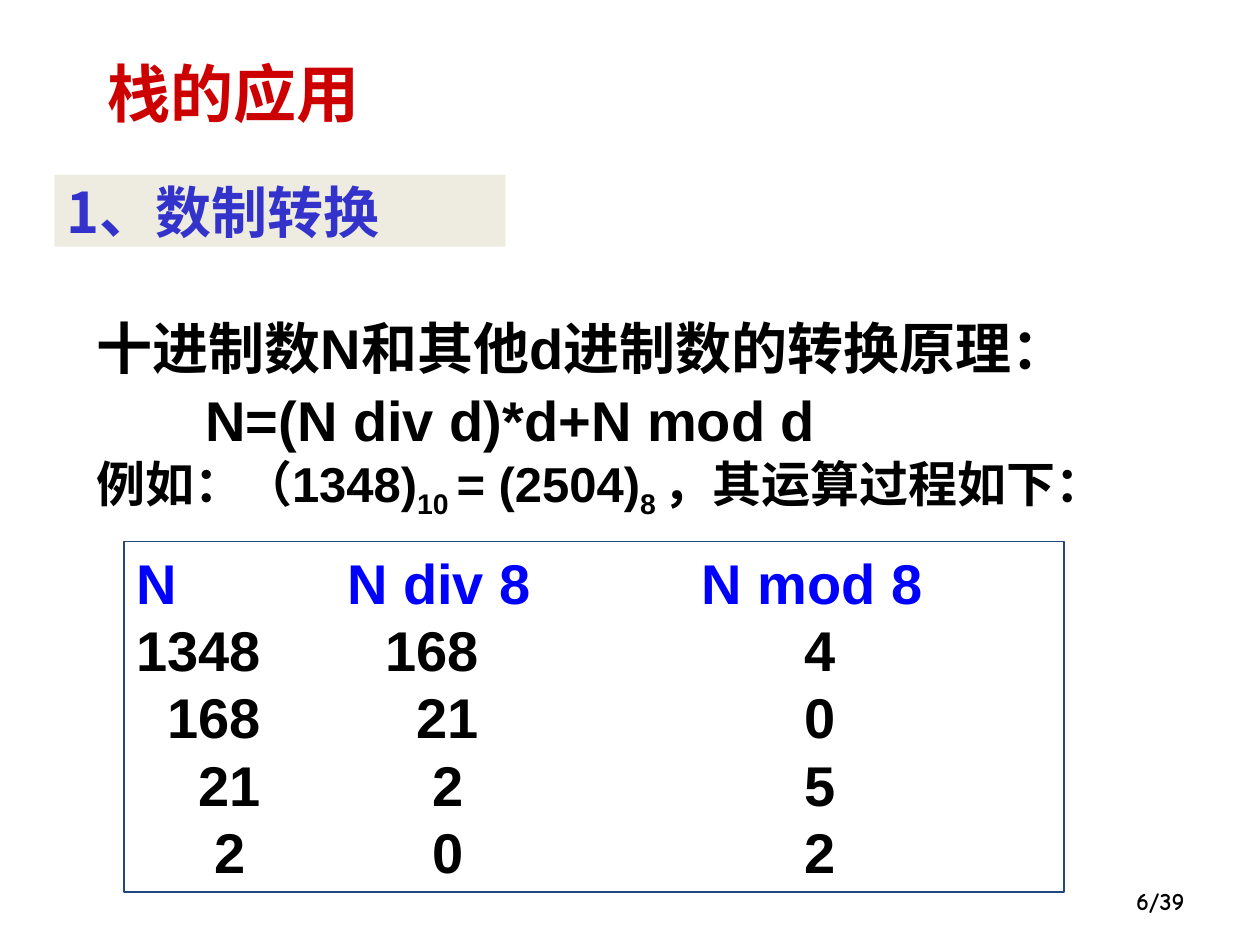
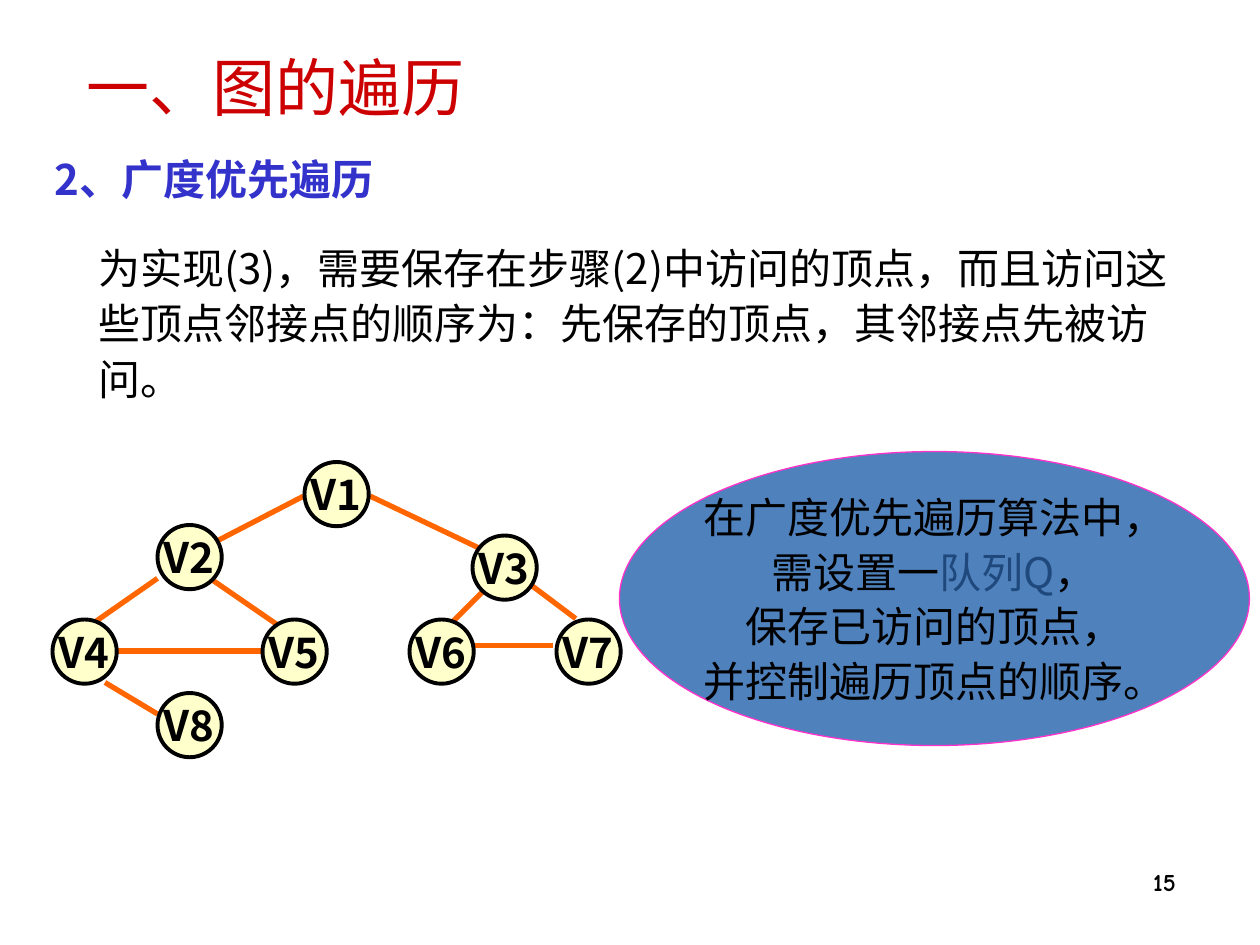
from lxml import etree
from pptx import Presentation
from pptx.dml.color import RGBColor
from pptx.enum.shapes import MSO_CONNECTOR, MSO_SHAPE
from pptx.enum.text import MSO_ANCHOR, PP_ALIGN
from pptx.oxml.ns import qn
from pptx.util import Pt

LEFT, MID, RIGHT = PP_ALIGN.LEFT, PP_ALIGN.CENTER, PP_ALIGN.RIGHT
TOP, CENTER, BOTTOM = MSO_ANCHOR.TOP, MSO_ANCHOR.MIDDLE, MSO_ANCHOR.BOTTOM
RECT, OVAL = MSO_SHAPE.RECTANGLE, MSO_SHAPE.OVAL
LINE = MSO_CONNECTOR.STRAIGHT

HAN, SANS, COMIC = "Noto Sans CJK SC", "Arial", "Comic Neue"
RED, INDIGO, BLUE, NAVY = "CC0000", "3333CC", "0000FF", "1F497D"
BLACK, SAND, CREAM = "000000", "EEECE1", "FFFFCC"
ORANGE, PINK, STEEL = "FF6600", "FF33CC", "4F81BD"

# A paragraph is a string or a list of runs; a run is text or (text, format).
SUB = {"base": -25000}
THEORY = [
    ("十进制数N和其他d进制数的转换原理：", dict(size=32, spacing=0.9, before=6.4)),
    ("N=(N div d)*d+N mod d", dict(size=32, spacing=0.9, before=6.4, indent=62.4)),
    (["例如：（1348)", ("10 ", SUB), "= (2504)", ("8 ", SUB),
      "，其运算过程如下："], dict(size=28)),
]

HEADS = ["N", "N div 8", "N mod 8"]
STEPS = [(1348, 168, 4), (168, 21, 0), (21, 2, 5), (2, 0, 2)]
WIDTHS = [72.6, 154.4, 224]
HEAD_PAD = [48, 0, 0]
STEP_PAD = [0, 29.8, 49.8]
DIGIT_PAD = [9, 9, 0]
ROW = 38.4

SEARCH = "为实现(3)，需要保存在步骤(2)中访问的顶点，而且访问这些顶点邻接点的顺序为：先保存的顶点，其邻接点先被访问。"
QUEUE = [
    "在广度优先遍历算法中，",
    ["需设置一", ("队列Q", {"color": NAVY}), "，"],
    "保存已访问的顶点，",
    "并控制遍历顶点的顺序。",
]

NODES = {
    "V1": (174, 264), "V2": (90, 300), "V3": (270, 306), "V4": (30, 354),
    "V5": (150, 354), "V6": (234, 354), "V7": (318, 354), "V8": (90, 396),
}
NODE = 36.7
EDGES = [
    (117.5, 312.5, 173.5, 283.5), (211.5, 283.5, 276.5, 314.5),
    (52, 357, 90, 330.5), (120, 330.5, 158.5, 357),
    (257, 357, 280, 334), (303, 334, 329, 353.5),
    (60, 372, 155.5, 372), (265, 368.7, 316, 368.7),
    (60, 390, 90, 408),
]


def rgb(code):
    return RGBColor.from_string(code)


def add_run(para, text, size, font, color, bold, base=0):
    run = para.add_run()
    run.text = text
    run.font.size, run.font.bold, run.font.name = Pt(size), bold, font
    run.font.color.rgb = rgb(color)
    props = run.font._element
    props.find(qn("a:latin")).addnext(etree.Element(qn("a:ea"), typeface=HAN))
    if base:
        props.set("baseline", str(base))


def write(frame, text, size=24, font=HAN, color=BLACK, bold=False, align=LEFT,
          spacing=1.0, before=0, indent=0, more=False):
    """Fill a text frame with one paragraph, or append one when more is set."""
    para = frame.add_paragraph() if more else frame.paragraphs[0]
    para.alignment, para.line_spacing = align, spacing
    para.space_before = Pt(before)
    if indent:
        para._p.get_or_add_pPr().set("marL", str(Pt(indent)))
    for part in [text] if isinstance(text, str) else text:
        words, extra = (part, {}) if isinstance(part, str) else part
        look = dict(size=size, font=font, color=color, bold=bold) | extra
        add_run(para, words, **look)


def set_frame(shape, anchor=TOP, wrap=True):
    frame = shape.text_frame
    frame.word_wrap, frame.vertical_anchor = wrap, anchor
    return frame


def add_box(slide, box, anchor=TOP):
    return set_frame(slide.shapes.add_textbox(*map(Pt, box)), anchor)


def add_form(slide, kind, box, fill=None, line=None, width=0.75):
    form = slide.shapes.add_shape(kind, *map(Pt, box))
    form.shadow.inherit = False
    if fill:
        form.fill.solid()
        form.fill.fore_color.rgb = rgb(fill)
    else:
        form.fill.background()
    if line:
        form.line.color.rgb, form.line.width = rgb(line), Pt(width)
    else:
        form.line.fill.background()
    return form


def start_slide(deck, title, box, number, spot, anchor=TOP, bold=False):
    """Add a slide with the shared red title and the page number."""
    slide = deck.slides.add_slide(deck.slide_layouts[5])
    head = slide.shapes.title
    head.left, head.top, head.width, head.height = map(Pt, box)
    write(set_frame(head, anchor), title, size=36, color=RED, bold=bold)
    write(add_box(slide, spot, CENTER if "/" in number else TOP), number,
          size=14, font=COMIC, bold=True, align=RIGHT)
    return slide


def add_steps(slide):
    add_form(slide, RECT, (70.8, 309.6, 537.2, 200.2), line=NAVY)
    rows = [HEADS] + STEPS
    table = slide.shapes.add_table(
        len(rows), len(HEADS), Pt(76.5), Pt(315), Pt(sum(WIDTHS)),
        Pt(ROW * len(rows))).table
    table.first_row = table.horz_banding = False
    for col, width in zip(table.columns, WIDTHS):
        col.width = Pt(width)
    for r, row in enumerate(rows):
        table.rows[r].height = Pt(ROW)
        for c, value in enumerate(row):
            text = str(value)
            pad = STEP_PAD[c] if r else HEAD_PAD[c]
            if r and len(text) == 1:
                pad += DIGIT_PAD[c]
            cell = table.cell(r, c)
            cell.fill.background()
            cell.margin_left = cell.margin_top = cell.margin_bottom = 0
            cell.margin_right, cell.vertical_anchor = Pt(pad), CENTER
            write(cell.text_frame, text, size=32, font=SANS, bold=True,
                  color=BLACK if r else BLUE, align=RIGHT)


def add_graph(slide):
    for x1, y1, x2, y2 in EDGES:
        edge = slide.shapes.add_connector(LINE, Pt(x1), Pt(y1), Pt(x2), Pt(y2))
        edge.line.color.rgb, edge.line.width = rgb(ORANGE), Pt(3)
        etree.SubElement(edge._element.spPr, qn("a:effectLst"))
    for name, (x, y) in NODES.items():
        node = add_form(slide, OVAL, (x, y, NODE, NODE), CREAM, BLACK, 2.25)
        frame = set_frame(node, CENTER, False)
        frame.margin_left = frame.margin_top = frame.margin_bottom = 0
        frame.margin_right = Pt(1)
        write(frame, name, bold=True, align=MID)


def build_stack(deck):
    slide = start_slide(deck, "栈的应用", (54, 30, 540.7, 48.2), "6/39",
                        (516.2, 500.4, 167.8, 28.8), BOTTOM, True)
    band = add_form(slide, RECT, (31, 100, 257.8, 41), SAND)
    write(set_frame(band, CENTER), "1、数制转换", size=32, color=INDIGO, bold=True)
    frame = add_box(slide, (48, 180, 623.5, 120.2))
    for i, (text, look) in enumerate(THEORY):
        write(frame, text, font=SANS, bold=True, more=i > 0, **look)
    add_steps(slide)


def build_search(deck):
    slide = start_slide(deck, "一、图的遍历", (42, 24, 250, 50.4), "15",
                        (529.2, 491.8, 149.8, 36))
    write(add_box(slide, (24, 84, 516, 36)), "2、广度优先遍历",
          color=INDIGO, bold=True, before=12)
    write(add_box(slide, (49, 132, 628.6, 102.2)), SEARCH,
          spacing=1.1, before=4.8)
    cloud = add_form(slide, OVAL, (354, 258, 360, 168), STEEL, PINK)
    frame = set_frame(cloud, CENTER, False)
    for i, text in enumerate(QUEUE):
        write(frame, text, align=MID, before=2.4, more=i > 0)
    add_graph(slide)


def main():
    deck = Presentation()
    deck.slide_width, deck.slide_height = Pt(720), Pt(540)
    build_stack(deck)
    build_search(deck)
    deck.save("out.pptx")


if __name__ == "__main__":
    main()
